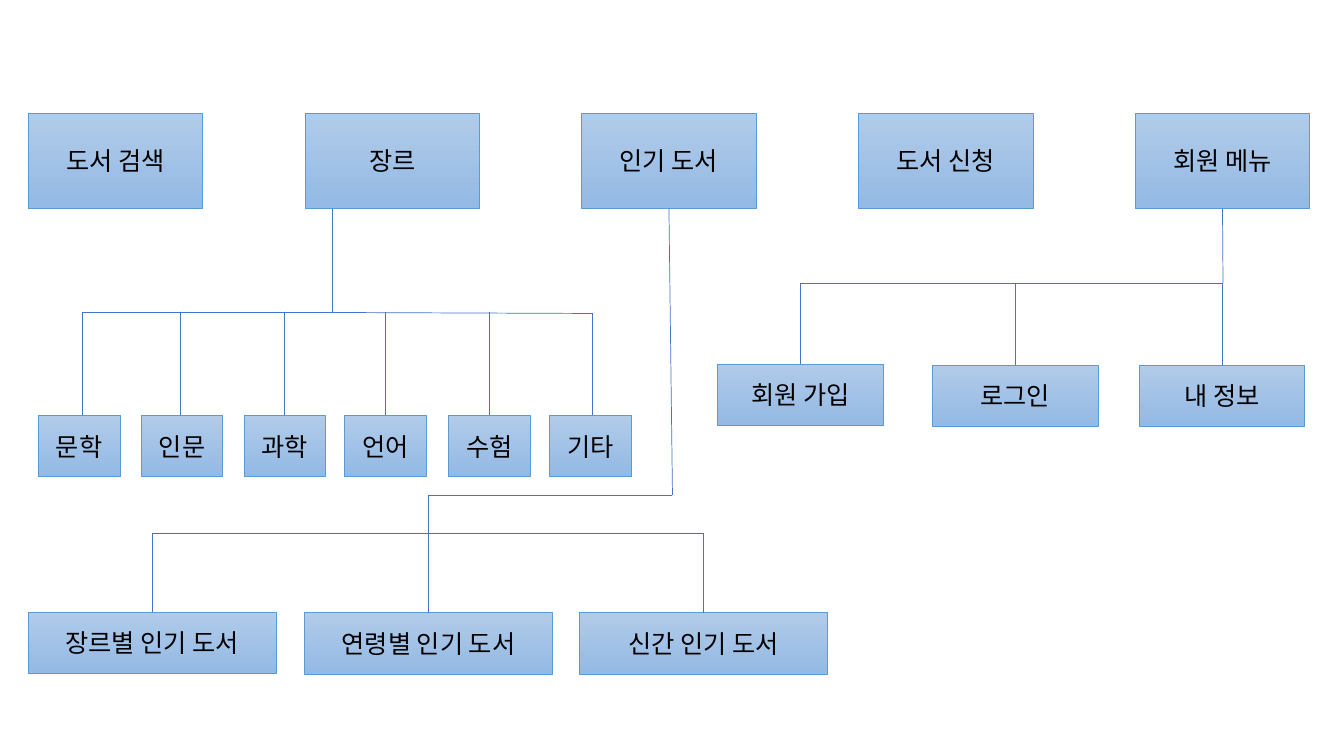
import pptx
import pptx.util
import pptx.dml.color
import pptx.enum.shapes
import pptx.enum.text
import lxml.etree

Inches = pptx.util.Inches
STRAIGHT = pptx.enum.shapes.MSO_CONNECTOR.STRAIGHT
ELBOW = pptx.enum.shapes.MSO_CONNECTOR.ELBOW
TOP, BOTTOM = 0, 2
MAIN_MENUS = ["도서 검색", "장르", "인기 도서", "도서 신청", "회원 메뉴"]
GENRES = [("문학", 0.38), ("인문", 1.4), ("과학", 2.42),
          ("언어", 3.42), ("수험", 4.45), ("기타", 5.45)]
POPULAR = [("장르별 인기 도서", 0.28, 6.07), ("연령별 인기 도서", 3.02, 6.08),
           ("신간 인기 도서", 5.75, 6.08)]
MEMBER = [("회원 가입", 7.12, 3.61), ("로그인", 9.25, 3.62), ("내 정보", 11.3, 3.62)]


def color(value):
    """Return the colour for a hex string."""
    return pptx.dml.color.RGBColor.from_string(value)


def add_box(slide, label, left, top, width, height=0.61):
    """Add a gradient menu box with a centred label."""
    box = slide.shapes.add_shape(
        pptx.enum.shapes.MSO_SHAPE.RECTANGLE,
        Inches(left), Inches(top), Inches(width), Inches(height))
    box.shadow.inherit = False
    box.fill.gradient()
    box.fill.gradient_angle = 270
    for stop, shade in zip(box.fill.gradient_stops, ["B1CBE9", "93B9E4"]):
        stop.color.rgb = color(shade)
    box.line.color.rgb = color("5B9BD5")
    box.line.width = pptx.util.Pt(0.5)
    box.text_frame.vertical_anchor = pptx.enum.text.MSO_ANCHOR.MIDDLE
    para = box.text_frame.paragraphs[0]
    para.alignment = pptx.enum.text.PP_ALIGN.CENTER
    span = para.add_run()
    span.text = label
    span.font.size = pptx.util.Pt(18)
    span.font.name = "Calibri"
    span.font.color.rgb = color("000000")
    return box


def add_line(slide, start, end, kind=STRAIGHT):
    """Add a thin blue connector between two points."""
    line = slide.shapes.add_connector(kind, *[Inches(n) for n in (*start, *end)])
    line.line.color.rgb = color("4472C4")
    line.line.width = pptx.util.Pt(0.5)
    lxml.etree.SubElement(line._element.spPr, pptx.oxml.ns.qn("a:effectLst"))
    return line


def add_drop(slide, box, bar_top):
    """Join the top of a box to the bar above it."""
    center = (box.left + box.width / 2) / Inches(1)
    line = add_line(slide, (center, bar_top), (center, box.top / Inches(1)))
    line.end_connect(box, TOP)


def add_genre_branch(slide):
    """Add the genre boxes and the lines that lead to them."""
    boxes = [add_box(slide, label, left, 4.12, 0.81) for label, left in GENRES]
    trunk = add_line(slide, (1.52, 2.34), (3.57, 3.85), ELBOW)
    trunk._element.spPr.find(pptx.oxml.ns.qn("a:xfrm")).set("rot", "5400000")
    add_line(slide, (1.8, 3.1), (0.82, 3.1))
    add_line(slide, (3.3, 3.1), (5.88, 3.11))
    add_line(slide, (0.82, 3.1), (0.82, 4.12))
    add_line(slide, (5.88, 3.11), (5.88, 4.12))
    for box in boxes[2:5]:
        add_drop(slide, box, 3.1)


def add_popular_branch(slide, menu):
    """Add the popular book boxes below their menu."""
    trunk = add_line(slide, (6.63, 2.07), (6.67, 4.91))
    trunk.begin_connect(menu, BOTTOM)
    add_line(slide, (6.67, 4.91), (4.25, 4.91))
    add_line(slide, (4.25, 4.91), (4.25, 5.29))
    add_line(slide, (1.51, 5.29), (6.98, 5.29))
    for label, left, top in POPULAR:
        add_drop(slide, add_box(slide, label, left, top, 2.46), 5.29)


def add_member_branch(slide, menu):
    """Add the member boxes below their menu."""
    trunk = add_line(slide, (12.13, 2.07), (12.13, 2.81))
    trunk.begin_connect(menu, BOTTOM)
    add_line(slide, (12.12, 2.81), (7.94, 2.81))
    for label, left, top in MEMBER:
        add_drop(slide, add_box(slide, label, left, top, 1.64), 2.81)


def main():
    """Build the library site map."""
    deck = pptx.Presentation()
    deck.slide_width, deck.slide_height = Inches(13.33), Inches(7.5)
    slide = deck.slides.add_slide(deck.slide_layouts[6])
    menus = {label: add_box(slide, label, 0.28 + 2.745 * i, 1.12, 1.73, 0.95)
             for i, label in enumerate(MAIN_MENUS)}
    add_genre_branch(slide)
    add_popular_branch(slide, menus["인기 도서"])
    add_member_branch(slide, menus["회원 메뉴"])
    deck.save("out.pptx")


if __name__ == "__main__":
    main()
